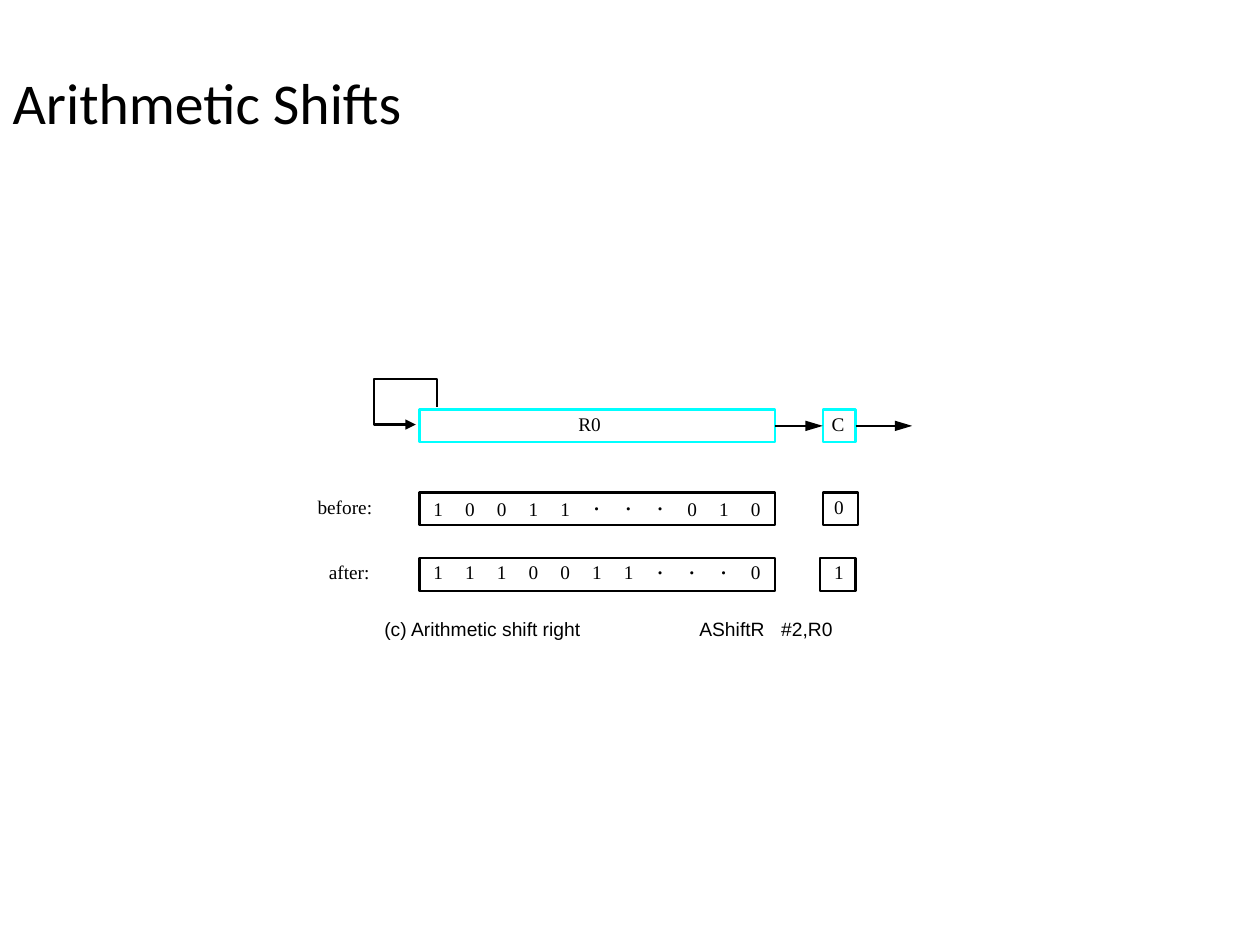
from lxml.etree import SubElement
from pptx import Presentation
from pptx.dml.color import RGBColor
from pptx.enum.shapes import MSO_CONNECTOR, MSO_SHAPE
from pptx.enum.text import MSO_ANCHOR, MSO_AUTO_SIZE, PP_ALIGN
from pptx.oxml.ns import qn
from pptx.util import Inches, Pt

BLACK = RGBColor(0x00, 0x00, 0x00)
CYAN = RGBColor(0x00, 0xFF, 0xFF)
SERIF, SANS, HEADING = "Times New Roman", "Arial", "Calibri"
COLUMNS, ROWS = 100, 75
LEFT, RIGHT = 1, 3  # connection sites

REGISTER_LEFT, REGISTER_WIDTH, BOX_HEIGHT = 33.3, 28.2, 2.6
BIT_LEFT, BIT_PITCH = 34.4, 2.52


def write(frame, text, font=SERIF, size=11, color=BLACK, spacing=None, tab=None):
    """Fill the frame with one left-aligned line; tab is a stop's distance."""
    para = frame.paragraphs[0]
    para.alignment = PP_ALIGN.LEFT
    if spacing:
        para.line_spacing = spacing
    if tab:
        stops = SubElement(para._p.get_or_add_pPr(), qn("a:tabLst"))
        SubElement(stops, qn("a:tab"), pos=str(tab), algn="l")
    span = para.add_run()
    span.text = text
    span.font.name = font
    span.font.size = Pt(size)
    span.font.color.rgb = color


class Diagram:
    """Holds the current slide; all lengths are grid columns and rows."""

    def __init__(self, deck):
        self.page = deck.slides.add_slide(deck.slide_layouts[5])
        self.column = deck.slide_width / COLUMNS
        self.row = deck.slide_height / ROWS

    def x(self, columns):
        return round(columns * self.column)

    def y(self, rows):
        return round(rows * self.row)

    def area(self, left, top, width, height):
        return self.x(left), self.y(top), self.x(width), self.y(height)

    def outline(self, shape, color=BLACK, head=None):
        """Set the line; head is the length of an arrowhead at its end."""
        shape.line.color.rgb = color
        shape.line.width = Pt(1.25)
        if head:
            line = shape._element.spPr.find(qn("a:ln"))
            SubElement(line, qn("a:tailEnd"), type="triangle", w="med", len=head)

    def title(self, text, *area):
        box = self.page.shapes.title
        box.left, box.top, box.width, box.height = self.area(*area)
        box.text_frame.auto_size = MSO_AUTO_SIZE.NONE
        box.text_frame.vertical_anchor = MSO_ANCHOR.MIDDLE
        write(box.text_frame, text, font=HEADING, size=33, spacing=0.9)

    def label(self, text, left, top, width, height=1.8, **style):
        box = self.page.shapes.add_textbox(*self.area(left, top, width, height))
        frame = box.text_frame
        frame.margin_left = frame.margin_right = 0
        frame.margin_top = frame.margin_bottom = 0
        frame.word_wrap = False
        frame.auto_size = MSO_AUTO_SIZE.NONE
        write(frame, text, **style)

    def box(self, left, top, width, color=BLACK):
        shape = self.page.shapes.add_shape(
            MSO_SHAPE.RECTANGLE, *self.area(left, top, width, BOX_HEIGHT))
        shape.shadow.inherit = False
        shape.fill.background()
        self.outline(shape, color)
        return shape

    def arrow(self, source, target=None, length=0):
        """Point from the source's right side to the target, or a length onward."""
        start = source.left + source.width
        middle = source.top + source.height // 2
        line = self.page.shapes.add_connector(
            MSO_CONNECTOR.STRAIGHT, start, middle, start + self.x(length), middle)
        line.begin_connect(source, RIGHT)
        if target is not None:
            line.end_connect(target, LEFT)
        self.outline(line, head="lg")
        SubElement(line._element.spPr, qn("a:effectLst"))

    def path_arrow(self, points):
        places = [(self.x(column), self.y(row)) for column, row in points]
        builder = self.page.shapes.build_freeform(*places[0])
        builder.add_line_segments(places[1:], close=False)
        shape = builder.convert_to_shape()
        shape.shadow.inherit = False
        shape.fill.background()
        self.outline(shape, head="med")

    def bits(self, values, digit_top, dot_top):
        for index, value in enumerate(values):
            left = BIT_LEFT + index * BIT_PITCH
            if value == ".":
                self.label(value, left + 0.1, dot_top, 0.6, 2.5, size=15)
            else:
                self.label(value, left, digit_top, 0.8)


def main():
    deck = Presentation()
    deck.slide_width, deck.slide_height = Inches(10), Inches(7.5)
    diagram = Diagram(deck)
    diagram.title("Arithmetic Shifts", 0, 1.3, 82.5, 14.2)

    register = diagram.box(REGISTER_LEFT, 32.5, REGISTER_WIDTH, CYAN)
    carry = diagram.box(65.3, 32.5, 2.6, CYAN)
    diagram.label("R0", 45.9, 32.7, 1.9)
    diagram.label("C", 66, 32.7, 1.1)
    diagram.arrow(register, carry)
    diagram.arrow(carry, length=4.5)
    diagram.path_arrow(
        [(34.7, 32.3), (34.7, 30.1), (29.7, 30.1), (29.7, 33.7), (33, 33.7)])

    states = [
        # name, left, width, box top, carry left, carry, label top, bits, bit top, dot top
        ("before:", 25.2, 4.5, 39.1, 65.3, "0", 39.3, "10011...010", 39.5, 38.4),
        ("after:", 26.1, 3.5, 44.3, 65.1, "1", 44.5, "1110011...0", 44.5, 43.5),
    ]
    for (name, left, width, top, carry_left, carry_bit, label_top,
         values, digit_top, dot_top) in states:
        diagram.box(REGISTER_LEFT, top, REGISTER_WIDTH)
        diagram.box(carry_left, top, 2.8)
        diagram.label(name, left, label_top, width)
        diagram.label(carry_bit, 66.2, label_top, 0.8)
        diagram.bits(values, digit_top, dot_top)

    diagram.label("(c) Arithmetic shift right", 30.5, 49, 16, font=SANS)
    diagram.label("AShiftR\t#2,R0", 55.5, 49, 10.8, font=SANS, tab=diagram.x(6.5))
    deck.save("out.pptx")


if __name__ == "__main__":
    main()
